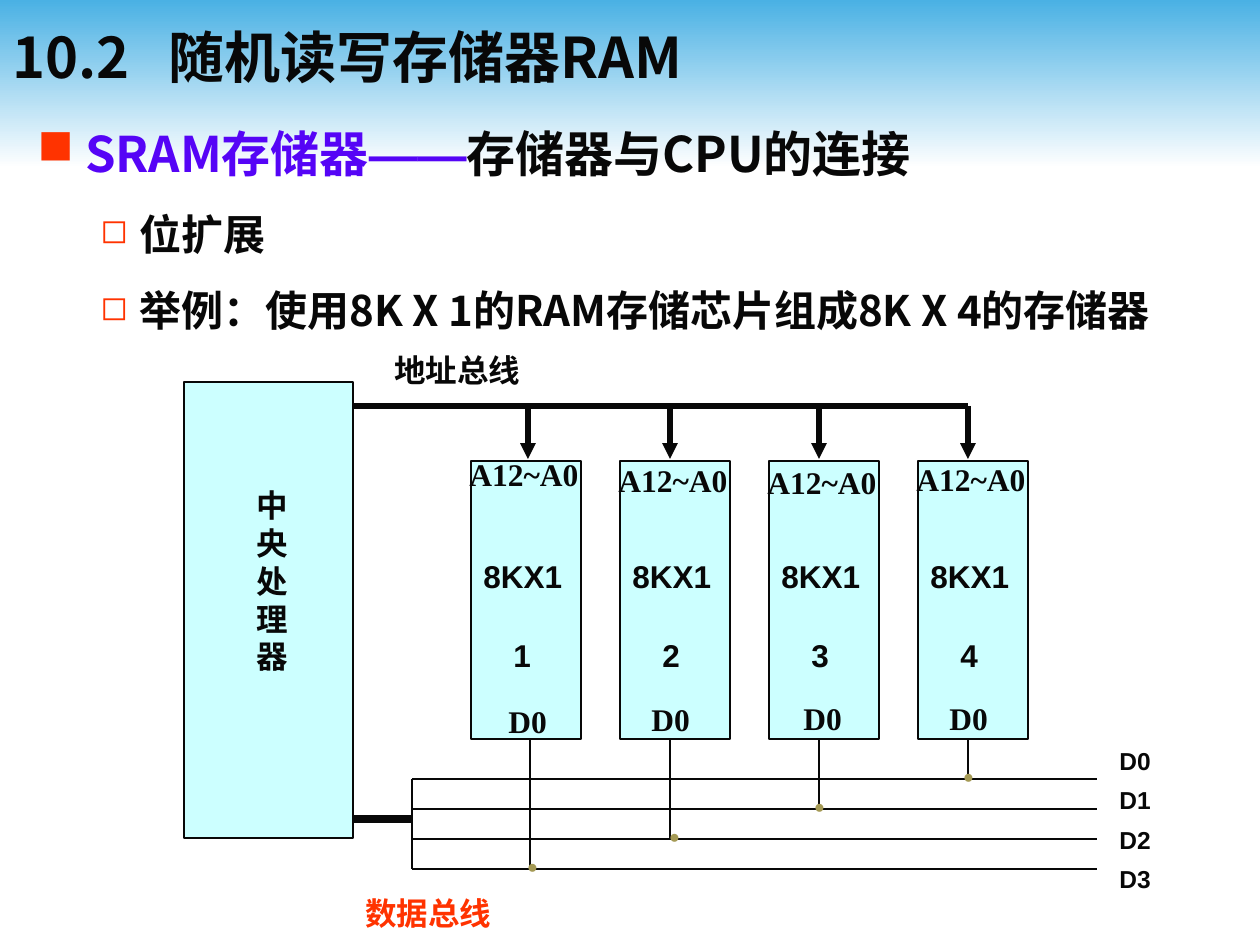
from lxml import etree
from pptx import Presentation
from pptx import util as u
from pptx.dml.color import RGBColor
from pptx.enum import shapes, text
from pptx.oxml import ns

EMU_PER_PX = 914400 / 126
INK = RGBColor(0x08, 0x08, 0x08)
RED = RGBColor(0xFF, 0x33, 0x00)
VIOLET = RGBColor(0x55, 0x04, 0xF6)
OLIVE = RGBColor(0xA5, 0x9A, 0x55)
CYAN = RGBColor(0xCC, 0xFF, 0xFF)
SKY = RGBColor(0x4A, 0xB1, 0xE4)
WHITE = RGBColor(0xFF, 0xFF, 0xFF)
SANS, CJK, SERIF = "Arial", "Noto Sans CJK JP", "Times New Roman"


def px(value):
    return u.Emu(round(value * EMU_PER_PX))


def add_element(parent, tag, **attributes):
    return etree.SubElement(parent, ns.qn(tag), {k: str(v) for k, v in attributes.items()})


def add_run(paragraph, words, size=18, font=SANS, color=INK):
    run = paragraph.add_run()
    run.text = words
    run.font.name = font
    run.font.size = u.Pt(size)
    run.font.bold = True
    run.font.color.rgb = color
    add_element(run.font._element, "a:ea", typeface=font)


def add_text_box(slide, left, top, width, height, anchor=text.MSO_ANCHOR.TOP):
    frame = slide.shapes.add_textbox(px(left), px(top), px(width), px(height)).text_frame
    frame.word_wrap = True
    frame.vertical_anchor = anchor
    return frame


def add_label(slide, words, left, top, width, height=50, **run_format):
    frame = add_text_box(slide, left, top, width, height)
    add_run(frame.paragraphs[0], words, **run_format)


def add_block(slide, left, top, width, height):
    block = slide.shapes.add_shape(
        shapes.MSO_SHAPE.RECTANGLE, px(left), px(top), px(width), px(height))
    block.shadow.inherit = False
    block.fill.solid()
    block.fill.fore_color.rgb = CYAN
    block.line.color.rgb = INK
    block.line.width = u.Pt(0.75)
    return block


def add_wire(slide, x1, y1, x2, y2, weight=0.75, arrow=False):
    wire = slide.shapes.add_connector(
        shapes.MSO_CONNECTOR.STRAIGHT, px(x1), px(y1), px(x2), px(y2))
    wire.line.color.rgb = INK
    wire.line.width = u.Pt(weight)
    if arrow:
        add_element(wire.line._get_or_add_ln(), "a:tailEnd", type="triangle")
    add_element(wire._element.spPr, "a:effectLst")


def set_bullet(paragraph, character, margin, hanging, percent=100):
    properties = paragraph._p.get_or_add_pPr()
    properties.set("marL", str(px(margin)))
    properties.set("indent", str(-px(hanging)))
    color = add_element(properties, "a:buClr")
    add_element(color, "a:srgbClr", val=RED)
    add_element(properties, "a:buSzPct", val=percent * 1000)
    add_element(properties, "a:buChar", char=character)


def add_header(slide, left, top, width, height):
    """Gradient band with the section title, whose name starts at a tab stop."""
    band = add_block(slide, left, top, width, height)
    band.line.fill.background()
    band.fill.gradient()
    band.fill.gradient_angle = 270
    for stop, color, position in zip(band.fill.gradient_stops, (SKY, WHITE), (0, 1)):
        stop.color.rgb = color
        stop.position = position
    frame = add_text_box(slide, left, top + 6, width, 100, text.MSO_ANCHOR.MIDDLE)
    paragraph = frame.paragraphs[0]
    tabs = add_element(paragraph._p.get_or_add_pPr(), "a:tabLst")
    add_element(tabs, "a:tab", pos=px(156), algn="l")
    add_run(paragraph, "10.2\t随机读写存储器RAM", size=32, font=CJK)


def add_outline(slide, left, top, width, height):
    frame = add_text_box(slide, left, top, width, height)
    heading = frame.paragraphs[0]
    heading.line_spacing = u.Pt(33.6)
    set_bullet(heading, "■", 48, 48)
    add_run(heading, "SRAM存储器", size=28, font=CJK, color=VIOLET)
    add_run(heading, "——", size=28, color=VIOLET)
    add_run(heading, "存储器与CPU的连接", size=28, font=CJK)
    for words in ("位扩展", "举例：使用8K X 1的RAM存储芯片组成8K X 4的存储器"):
        paragraph = frame.add_paragraph()
        paragraph.level = 1
        paragraph.line_spacing = u.Pt(28.8)
        paragraph.space_before = u.Pt(15)
        set_bullet(paragraph, "◻", 102, 39, percent=80)
        add_run(paragraph, words, size=24, font=CJK)


def add_processor(slide, left, top, width, height):
    add_block(slide, left, top, width, height)
    add_label(slide, "中央处理器", left + 60, top + 98, 59, 202)


def add_address_bus(slide, left, top, drops):
    add_wire(slide, left, top, drops[-1], top, weight=3)
    for x in drops:
        add_wire(slide, x, top, x, top + 53, weight=3, arrow=True)
    add_label(slide, "地址总线", left + 29, top - 61, 228)


def add_data_bus(slide, left, top, width, gap, count):
    """Data lines fed by a thick stub on the left and named on the right."""
    trunk, right = left + 59, left + width
    add_wire(slide, left, top + 40, trunk, top + 40, weight=4.5)
    add_wire(slide, trunk, top, trunk, top + (count - 1) * gap)
    for index in range(count):
        y = top + index * gap
        add_wire(slide, trunk, y, right, y)
        add_label(slide, f"D{index}", right + 10, top - 39 + index * 79 // 2, 69, 43, size=14)
    add_label(slide, "数据总线", left, top + 109, 188, color=RED)


def add_chip(slide, left, top, width, height, number, address_top, data_pin):
    add_block(slide, left, top, width, height)
    add_label(slide, "8KX1", left, top + 90, 118)
    add_label(slide, str(number), left + 30, top + 169, 49)
    add_label(slide, "A12~A0", left - 14, top + address_top, 168, font=SERIF)
    pin_left, pin_top = data_pin
    add_label(slide, "D0", left + pin_left, top + pin_top, 72, font=SERIF)


def add_data_tap(slide, x, top, bottom, dot_left):
    """Wire from a chip down to its data line, ending in a junction dot."""
    add_wire(slide, x, top, x, bottom)
    add_label(slide, "·", dot_left, bottom - 40, 30, 72, size=28, font=SERIF, color=OLIVE)


def add_memory_diagram(slide, left, top):
    processor_width, processor_height = 169, 456
    bus_left = left + processor_width
    chip_left, chip_top, chip_width, chip_height, chip_step = left + 287, top + 79, 110, 278, 149
    data_top, data_gap = top + 397, 30
    address_drops = [left + x for x in (344, 486, 635, 784)]
    data_drops = [left + 346] + address_drops[1:]
    address_tops = (-12, -6, -4, -7)
    data_pins = ((25, 235), (19, 233), (22, 232), (19, 232))
    dot_offsets = (41, 34, 30, 30)
    count = len(data_drops)

    add_processor(slide, left, top, processor_width, processor_height)
    add_address_bus(slide, bus_left, top + 24, address_drops)
    add_data_bus(slide, bus_left, data_top, 744, data_gap, count)
    for index, x in enumerate(data_drops):
        chip_x = chip_left + index * chip_step
        add_chip(slide, chip_x, chip_top, chip_width, chip_height,
                 index + 1, address_tops[index], data_pins[index])
        add_data_tap(slide, x, chip_top + chip_height,
                     data_top + (count - 1 - index) * data_gap, chip_x + dot_offsets[index])


def main():
    presentation = Presentation()
    presentation.slide_width, presentation.slide_height = px(1260), px(945)
    slide = presentation.slides.add_slide(presentation.slide_layouts[6])
    add_header(slide, 0, 0, 1260, 168)
    add_outline(slide, 25, 117, 1212, 240)
    add_memory_diagram(slide, 184, 382)
    presentation.save("out.pptx")


if __name__ == "__main__":
    main()
